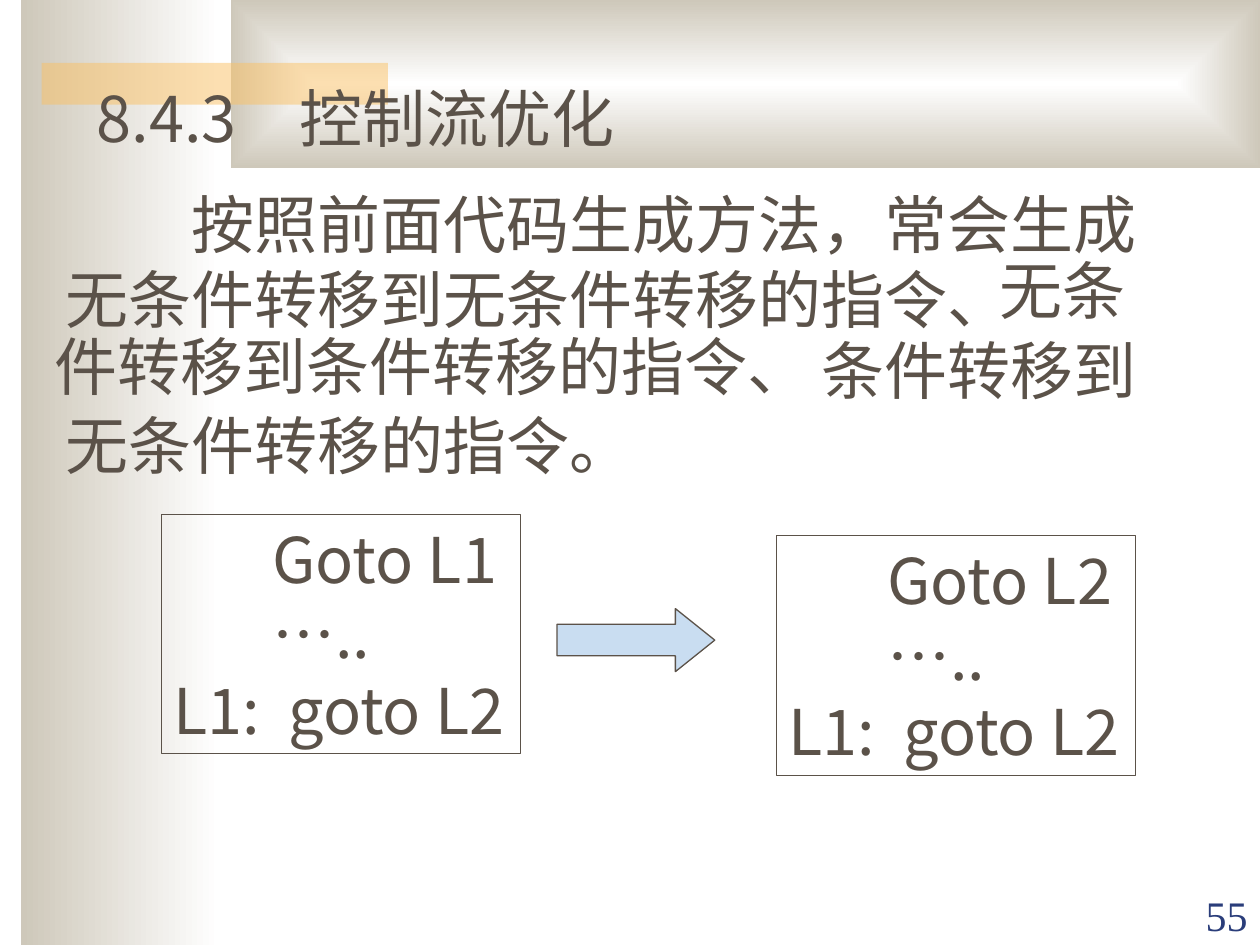
from lxml.etree import SubElement
from pptx import Presentation
from pptx.dml.color import RGBColor
from pptx.enum.shapes import MSO_SHAPE
from pptx.enum.text import MSO_ANCHOR, PP_ALIGN
from pptx.oxml.ns import qn
from pptx.util import Cm, Pt

SANS, SERIF = "Noto Sans CJK JP", "Times New Roman"
INK, STONE, WHITE = "5B5249", "CEC8BA", "FFFFFF"
GOLD, SKY, NAVY = "FAC164", "C9DDF1", "2A3D7A"
EM = 1.27  # width of one 36 pt character in cm


def rgb(value):
    return RGBColor.from_string(value)


def style(p, size=36, color=INK, name=SANS):
    p.font.size = Pt(size)
    p.font.color.rgb = rgb(color)
    p.font.name = name
    SubElement(p._p.pPr.find(qn("a:defRPr")), qn("a:ea")).set("typeface", name)


def write(tf, lines, indent=0, wrap=True):
    tf.word_wrap = wrap
    tf.vertical_anchor = MSO_ANCHOR.TOP
    for i, line in enumerate(lines):
        p = tf.paragraphs[0] if i == 0 else tf.add_paragraph()
        p.text = line
        p.alignment = PP_ALIGN.LEFT
        p.line_spacing = Pt(43.2)
        p.space_before = Pt(0)
        if indent:
            p._p.get_or_add_pPr().set("indent", str(Cm(indent * EM)))
        style(p)


def add_shape(s, kind, x, y, w, h):
    sp = s.shapes.add_shape(kind, Cm(x), Cm(y), Cm(w), Cm(h))
    sp.shadow.inherit = False
    return sp


def add_panel(s, x, y, w, h):
    sp = add_shape(s, MSO_SHAPE.RECTANGLE, x, y, w, h)
    sp.line.fill.background()
    return sp


def fade(sp):
    sp.fill.gradient()
    sp.fill.gradient_angle = 180
    for stop, position, color in zip(sp.fill.gradient_stops, (0, 1), (WHITE, STONE)):
        stop.position = position
        stop.color.rgb = rgb(color)


def add_background(s, w, h):
    # Side band, fading to the right
    fade(add_panel(s, 0.43, 0, 4.01, h))

    # Header band, light in the middle
    header = add_panel(s, 4.65, 0, w - 4.65, 3.38)
    fade(header)
    grad = header._element.spPr.find(qn("a:gradFill"))
    grad.remove(grad.find(qn("a:lin")))
    shade = SubElement(grad, qn("a:path"))
    shade.set("path", "rect")
    focus = SubElement(shade, qn("a:fillToRect"))
    for side in "ltrb":
        focus.set(side, "50000")

    # Translucent accent bar
    bar = add_panel(s, 0.84, 1.27, 6.98, 0.84)
    bar.fill.solid()
    bar.fill.fore_color.rgb = rgb(GOLD)
    color = bar._element.spPr.find(qn("a:solidFill"))[0]
    SubElement(color, qn("a:alpha")).set("val", "50000")


def add_title(s, x, y, w, h):
    title = s.shapes.title
    title.left, title.top, title.width, title.height = Cm(x), Cm(y), Cm(w), Cm(h)
    write(title.text_frame, ["8.4.3　控制流优化"])
    s.shapes._spTree.append(title._element)  # in front of the bands


def add_body(s, x, y):
    # Three passages that read on from one another: offset, width, height, indent
    passages = [
        (0.23, 0, 22.43, 4.83, 2, "按照前面代码生成方法，常会生成无条件转移到无条件转移的指令、"),
        (0, 1.34, 22.86, 3.3, 15, "无条件转移到条件转移的指令、"),
        (0.23, 2.94, 22.23, 3.3, 12, "条件转移到无条件转移的指令。"),
    ]
    for dx, dy, w, h, indent, text in passages:
        tb = s.shapes.add_textbox(Cm(x + dx), Cm(y + dy), Cm(w), Cm(h))
        write(tb.text_frame, [text], indent)


def add_code(s, x, y, label):
    tb = s.shapes.add_textbox(Cm(x), Cm(y), Cm(7.24), Cm(4.83))
    tb.line.color.rgb = rgb(INK)
    tb.line.width = Pt(0.25)
    code = [f"       Goto {label}", "       …..", "L1:  goto L2"]
    write(tb.text_frame, code, wrap=False)


def add_rewrite(s, x, y):
    # Code before, arrow, code after
    add_code(s, x, y, "L1")
    add_code(s, x + 12.4, y + 0.43, "L2")
    arrow = add_shape(s, MSO_SHAPE.RIGHT_ARROW, x + 7.98, y + 1.91, 3.18, 1.27)
    arrow.adjustments[0] = 0.5
    arrow.adjustments[1] = 0.625
    arrow.fill.solid()
    arrow.fill.fore_color.rgb = rgb(SKY)
    arrow.line.color.rgb = rgb(INK)
    arrow.line.width = Pt(0.75)


def add_number(s, x, y, w, h):
    tb = s.shapes.add_textbox(Cm(x), Cm(y), Cm(w), Cm(h))
    tf = tb.text_frame
    tf.word_wrap = True
    tf.vertical_anchor = MSO_ANCHOR.BOTTOM
    p = tf.paragraphs[0]
    p.text = "55"
    p.alignment = PP_ALIGN.RIGHT
    style(p, 24, NAVY, SERIF)


def main():
    prs = Presentation()
    prs.slide_width, prs.slide_height = Cm(25.4), Cm(19.05)
    s = prs.slides.add_slide(prs.slide_layouts[5])
    add_background(s, 25.4, 19.05)
    add_title(s, 1.7, 1.48, 22.43, 1.78)
    add_body(s, 0.84, 3.61)
    add_rewrite(s, 3.25, 10.36)
    add_number(s, 22.86, 17.8, 2.54, 1.27)
    prs.save("out.pptx")


if __name__ == "__main__":
    main()
